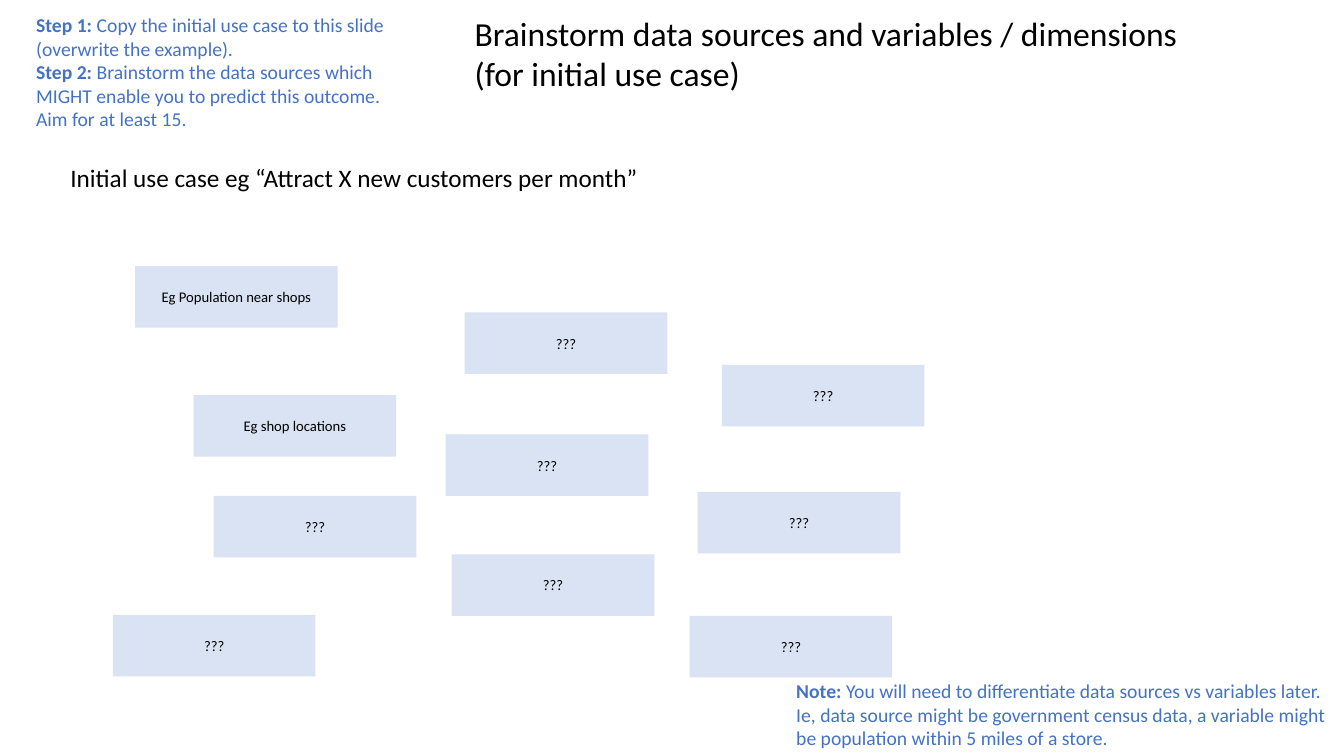
from dataclasses import dataclass

from pptx import Presentation, util as u
from pptx.dml.color import RGBColor
from pptx.enum import shapes, text

HUES = {"ink": "000000", "hint": "4472C4", "card": "DAE3F3"}
FONT = "Calibri"
WIDE, HIGH = u.Inches(13.33), u.Inches(7.5)
CARD_W, CARD_H = 15.08, 8.13  # percent of the slide


@dataclass(frozen=True)
class Run:
    words: str
    bold: bool = False


@dataclass(frozen=True)
class Box:
    """A text box; place and size are percentages of the slide."""
    x: float
    y: float
    w: float
    h: float
    size: float
    hue: str
    paras: list[list[Run]]
    wrap: bool = True


@dataclass(frozen=True)
class Card:
    x: float
    y: float
    label: str = "???"


def area(x: float, y: float, w: float, h: float) -> tuple[int, int, int, int]:
    """Turn percentages of the slide into lengths."""
    return (int(WIDE * x / 100), int(HIGH * y / 100),
            int(WIDE * w / 100), int(HIGH * h / 100))


def tint(name: str) -> RGBColor:
    return RGBColor.from_string(HUES[name])


def add_run(para, run: Run, size: float, hue: str) -> None:
    """Add a run, with a line break at each newline."""
    for i, line in enumerate(run.words.split("\n")):
        if i:
            para.add_line_break()
        part = para.add_run()
        part.text = line
        font = part.font
        font.name, font.size, font.bold = FONT, u.Pt(size), run.bold
        font.color.rgb = tint(hue)


def draw_box(slide, box: Box) -> None:
    frame = slide.shapes.add_textbox(*area(box.x, box.y, box.w, box.h)).text_frame
    frame.word_wrap = box.wrap
    frame.auto_size = text.MSO_AUTO_SIZE.SHAPE_TO_FIT_TEXT
    for i, runs in enumerate(box.paras):
        para = frame.add_paragraph() if i else frame.paragraphs[0]
        for run in runs:
            add_run(para, run, box.size, box.hue)


def draw_card(slide, card: Card) -> None:
    shape = slide.shapes.add_shape(shapes.MSO_SHAPE.RECTANGLE,
                                   *area(card.x, card.y, CARD_W, CARD_H))
    shape.shadow.inherit = False
    shape.fill.solid()
    shape.fill.fore_color.rgb = tint("card")
    shape.line.fill.background()
    frame = shape.text_frame
    frame.word_wrap = True
    frame.vertical_anchor = text.MSO_ANCHOR.MIDDLE
    para = frame.paragraphs[0]
    para.alignment = text.PP_ALIGN.CENTER
    add_run(para, Run(card.label), 10.5, "ink")


# Ideas, column by column
CARDS = [
    Card(10.05, 35.2, "Eg Population near shops"),
    Card(14.4, 52.27, "Eg shop locations"),
    Card(15.9, 65.6),
    Card(8.4, 81.33),
    Card(34.58, 41.33),
    Card(33.16, 57.47),
    Card(33.61, 73.33),
    Card(53.71, 48.27),
    Card(51.91, 65.07),
    Card(51.31, 81.47),
]

# Title, steps, use case and closing note
BOXES = [
    Box(34.58, 1.07, 56.11, 12.13, 24, "ink", [
        [Run("Brainstorm data sources and variables / dimensions\n"
             "(for initial use case)")]]),
    Box(1.95, 1.07, 27.53, 17.07, 14, "hint", [
        [Run("Step 1:", True),
         Run(" Copy the initial use case to this slide (overwrite the example).")],
        [Run("Step 2: ", True),
         Run("Brainstorm the data sources which MIGHT enable you to predict "
             "this outcome. Aim for at least 15.")]]),
    Box(4.5, 20.8, 44.26, 5.33, 18, "ink", [
        [Run("Initial use case eg “Attract X new customers per month”")]],
        wrap=False),
    Box(58.51, 89.2, 41.49, 10.8, 14, "hint", [
        [Run("Note:", True),
         Run(" You will need to differentiate data sources vs variables later. "
             "Ie, data source might be government census data, a variable might "
             "be population within 5 miles of a store.")]]),
]


def main() -> None:
    deck = Presentation()
    deck.slide_width, deck.slide_height = WIDE, HIGH
    slide = deck.slides.add_slide(deck.slide_layouts[6])
    for card in CARDS:
        draw_card(slide, card)
    for box in BOXES:
        draw_box(slide, box)
    deck.save("out.pptx")


if __name__ == "__main__":
    main()
